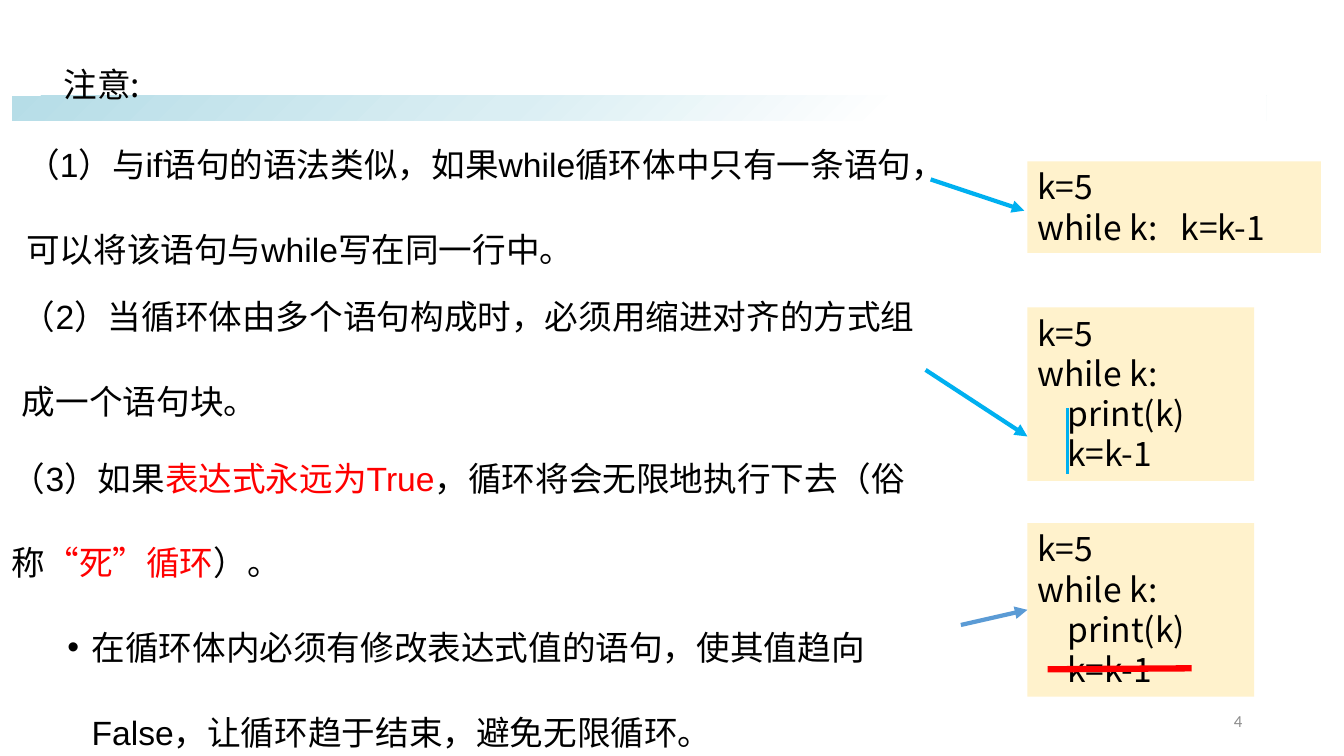
"""Build the slide of notes on while loops with code examples."""
from lxml import etree
from pptx import Presentation
from pptx.dml.color import RGBColor
from pptx.enum.shapes import MSO_CONNECTOR, MSO_SHAPE
from pptx.enum.text import MSO_ANCHOR, MSO_AUTO_SIZE, PP_ALIGN
from pptx.oxml.ns import qn
from pptx.util import Inches, Pt

BLACK = RGBColor(0x00, 0x00, 0x00)
RED = RGBColor(0xFF, 0x00, 0x00)
GRAY = RGBColor(0x8C, 0x8C, 0x8C)
CREAM = RGBColor(0xFF, 0xF2, 0xCC)
SKY = RGBColor(0x00, 0xB0, 0xF0)
BLUE = RGBColor(0x5B, 0x9B, 0xD5)
AQUA = RGBColor(0xB6, 0xDD, 0xE7)
PALE = RGBColor(0xDA, 0xEE, 0xF3)
WHITE = RGBColor(0xFF, 0xFF, 0xFF)
CJK = "Noto Sans CJK SC"


def add_runs(p, runs, name="Arial", size=24):
    for text, color in runs:
        r = p.add_run()
        r.text = text
        for key, value in {"name": name, "size": Pt(size)}.items():
            setattr(r.font, key, value)
        r.font.color.rgb = color
        latin = r.font._element.find(qn("a:latin"))
        ea = etree.Element(qn("a:ea"), typeface=CJK)
        latin.addnext(ea)


def format_box(sp, box, wrap=True, anchor=MSO_ANCHOR.TOP):
    for key, value in zip(("left", "top", "width", "height"), box):
        setattr(sp, key, Inches(value))
    tf = sp.text_frame
    formats = {"word_wrap": wrap, "auto_size": MSO_AUTO_SIZE.NONE, "vertical_anchor": anchor}
    for key, value in formats.items():
        setattr(tf, key, value)
    return tf


prs = Presentation()
prs.slide_width, prs.slide_height = Inches(13.33), Inches(7.5)
s = prs.slides.add_slide(prs.slide_layouts[1])
title, body = s.placeholders[0], s.placeholders[1]

band = s.shapes.add_shape(MSO_SHAPE.RECTANGLE, Inches(0.12), Inches(0.95), Inches(12.44), Inches(0.25))
band.shadow.inherit = False
band.line.fill.background()
band.fill.gradient()
band.fill.gradient_angle = 315
stops = band._element.spPr.find(qn("a:gradFill")).find(qn("a:gsLst"))
for stop in list(stops):
    stops.remove(stop)
for percent, color in ((0, AQUA), (40, PALE), (70, WHITE), (100, WHITE)):
    stop = etree.SubElement(stops, qn("a:gs"), pos=str(percent * 1000))
    etree.SubElement(stop, qn("a:srgbClr"), val=str(color))
s.shapes._spTree.remove(band._element)
s.shapes._spTree.insert(2, band._element)

tf = format_box(title, (0.53, 0.14, 0.96, 0.82), wrap=False)
p = tf.paragraphs[0]
p.alignment, p.line_spacing = PP_ALIGN.LEFT, 2.1
add_runs(p, [("注意:", BLACK)], CJK)

second = s.shapes.add_textbox(0, 0, 0, 0)
third = s.shapes.add_textbox(0, 0, 0, 0)
notes = [
    (body, (0.16, 0.94, 9.07, 1.68),
     [("（1）与if语句的语法类似，如果while循环体中只有一条语句，可以将该语句与while写在同一行中。", BLACK)]),
    (second, (0.12, 2.45, 9.1, 1.68),
     [("（2）当循环体由多个语句构成时，必须用缩进对齐的方式组成一个语句块。", BLACK)]),
    (third, (0.02, 4.05, 9.51, 3.37),
     [("（3）如果", BLACK), ("表达式永远为True", RED), ("，循环将会无限地执行下去（俗称", BLACK),
      ("“死”循环", RED), ("）。", BLACK)]),
]
for sp, box, runs in notes:
    p = format_box(sp, box).paragraphs[0]
    pPr = p._p.get_or_add_pPr()
    pPr.set("marL", "0")
    pPr.set("indent", "0")
    etree.SubElement(pPr, qn("a:buNone"))
    p.line_spacing, p.space_before = 2.1, Pt(0)
    add_runs(p, runs)

p = third.text_frame.add_paragraph()
pPr = p._p.get_or_add_pPr()
pPr.set("marL", str(Inches(0.79)))
pPr.set("indent", str(Inches(-0.24)))
etree.SubElement(pPr, qn("a:buFont"), typeface="Arial")
etree.SubElement(pPr, qn("a:buChar"), char="•")
p.line_spacing = 2.1
add_runs(p, [("在循环体内必须有修改表达式值的语句，使其值趋向False，让循环趋于结束，避免无限循环。", BLACK)])

block = ["k=5", "while k:", "    print(k)", "    k=k-1"]
codes = [
    (1.6, 2.91, 0.91, ["k=5", "while k:   k=k-1"]),
    (3.05, 2.25, 1.72, block),
    (5.19, 2.25, 1.72, block),
]
for top, width, height, lines in codes:
    sp = s.shapes.add_shape(MSO_SHAPE.RECTANGLE, 0, 0, 0, 0)
    sp.shadow.inherit = False
    sp.fill.solid()
    sp.fill.fore_color.rgb = CREAM
    sp.line.fill.background()
    tf = format_box(sp, (10.19, top, width, height))
    for i, line in enumerate(lines):
        p = tf.add_paragraph() if i else tf.paragraphs[0]
        p.alignment = PP_ALIGN.LEFT
        add_runs(p, [(line, BLACK)], CJK)

links = [
    (9.23, 1.78, 10.16, 2.09, SKY, 3, True),
    (9.18, 3.67, 10.19, 4.33, SKY, 3, True),
    (9.53, 6.2, 10.19, 6.05, BLUE, 3, True),
    (10.59, 4.05, 10.59, 4.7, SKY, 2.25, False),
    (10.39, 6.64, 11.82, 6.63, RED, 4.5, False),
]
for x1, y1, x2, y2, color, width, arrow in links:
    link = s.shapes.add_connector(MSO_CONNECTOR.STRAIGHT, *map(Inches, (x1, y1, x2, y2)))
    link.line.color.rgb = color
    link.line.width = Pt(width)
    if arrow:
        etree.SubElement(link.line._get_or_add_ln(), qn("a:tailEnd"), type="triangle")
    etree.SubElement(link._element.spPr, qn("a:effectLst"))

number = s.shapes.add_textbox(0, 0, 0, 0)
p = format_box(number, (9.42, 6.95, 3, 0.4), anchor=MSO_ANCHOR.MIDDLE).paragraphs[0]
p.alignment = PP_ALIGN.RIGHT
add_runs(p, [("4", GRAY)], "Calibri", 12)

prs.save("out.pptx")
